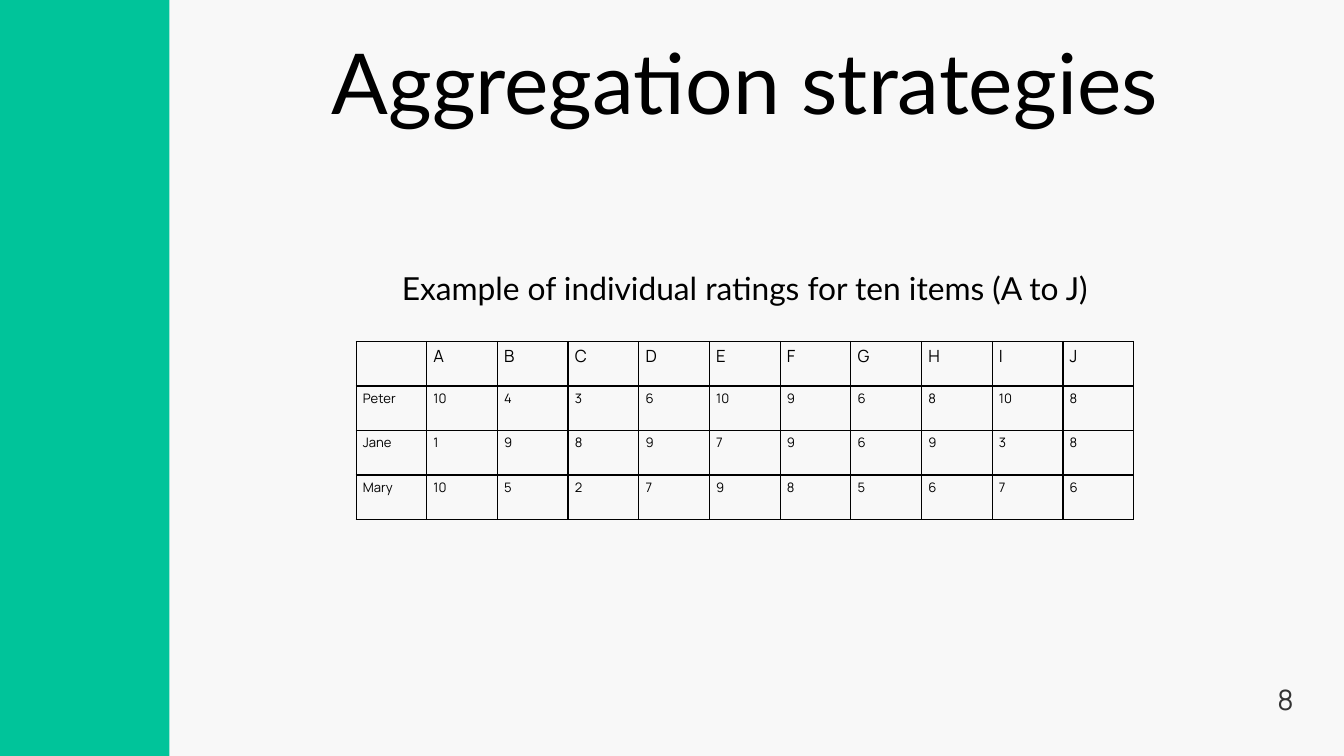
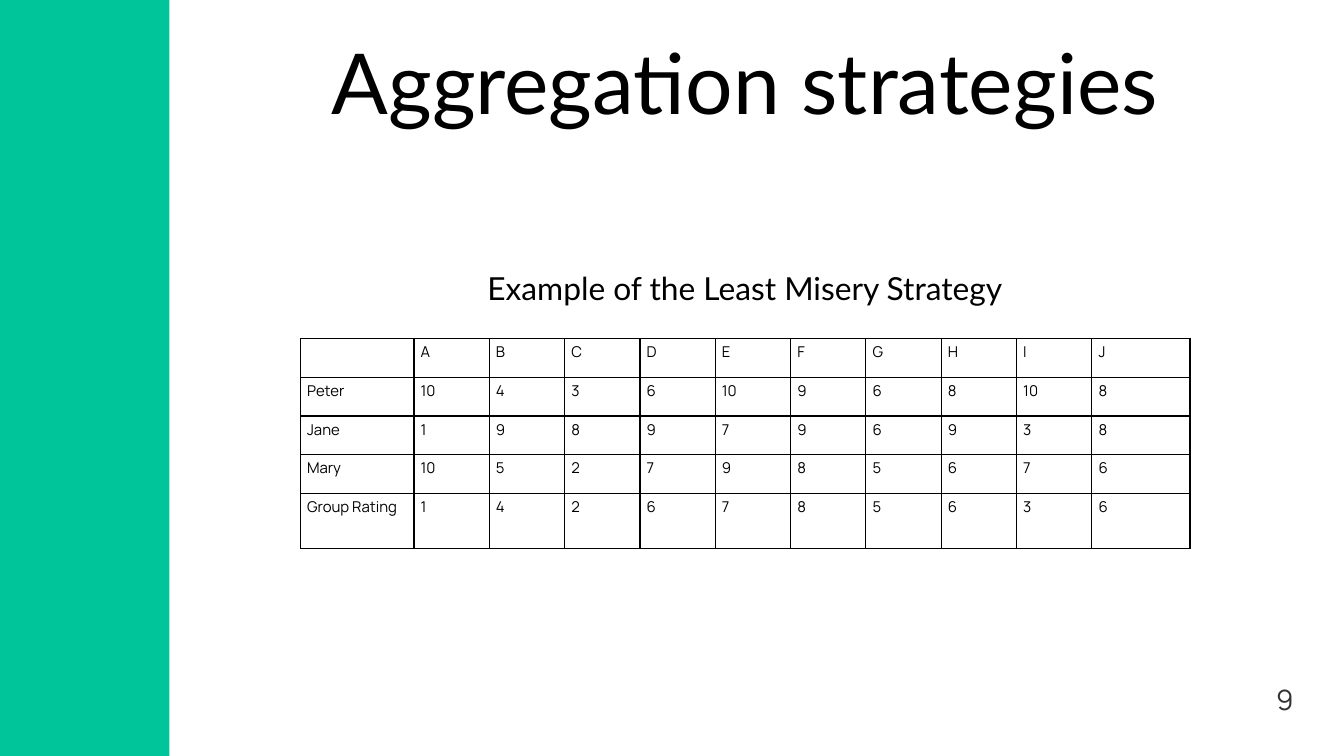
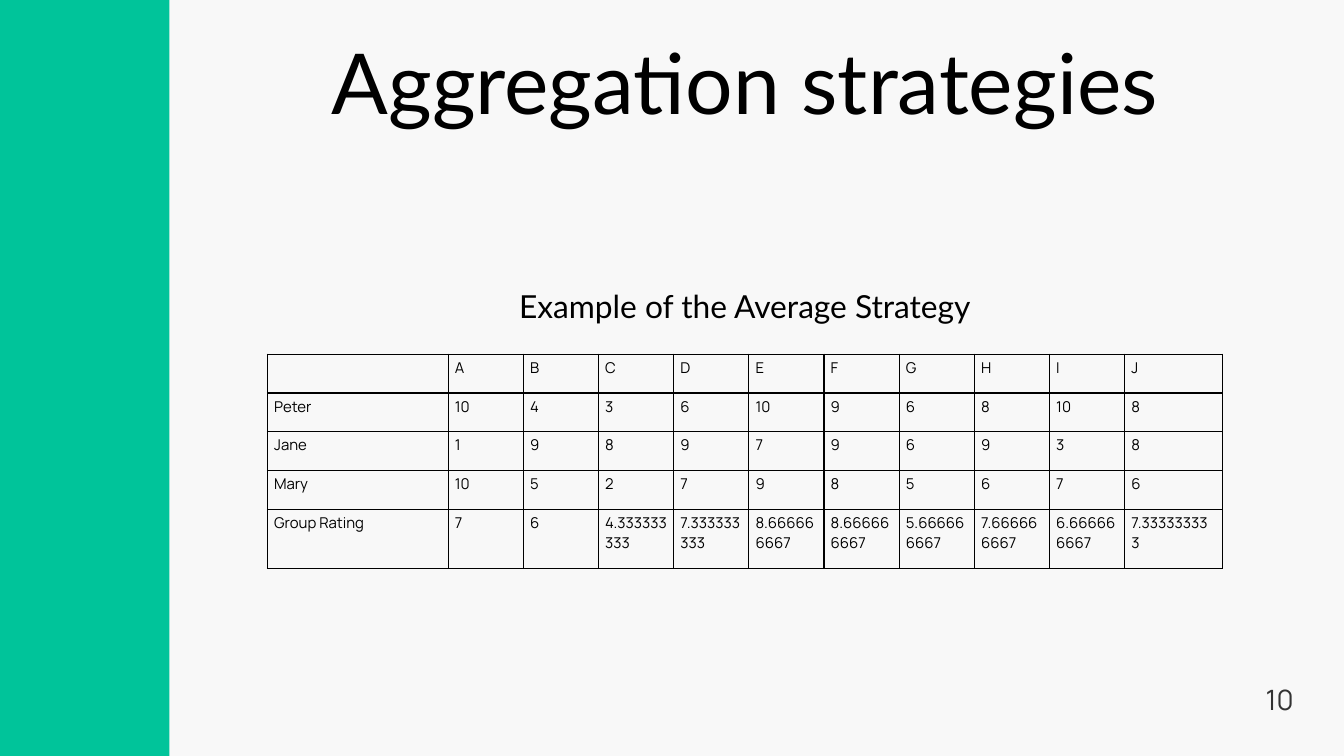
from dataclasses import dataclass

import pptx
import pptx.dml.color
import pptx.enum.shapes
import pptx.enum.text
import pptx.oxml
import pptx.oxml.ns
import pptx.util

Inches = pptx.util.Inches
Pt = pptx.util.Pt
Align = pptx.enum.text.PP_ALIGN


def rgb(code):
    return pptx.dml.color.RGBColor.from_string(code)


@dataclass(frozen=True)
class Theme:
    band: str = "00C49A"
    ink: str = "000000"
    number_ink: str = "333333"
    light: str = "F8F8F8"
    white: str = "FFFFFF"
    heading_font: str = "Lato"
    plain_font: str = "Manrope"
    title_size: int = 90
    caption_size: int = 34
    number_size: int = 30
    border: float = 1.5


THEME = Theme()

TEXT_FORMATS = {
    "title": dict(font=THEME.heading_font, size=THEME.title_size, color=THEME.ink,
                  align=Align.CENTER, line=126),
    "caption": dict(font=THEME.heading_font, size=THEME.caption_size, color=THEME.ink,
                    align=Align.CENTER, line=47.6),
    "number": dict(font=THEME.plain_font, size=THEME.number_size, color=THEME.number_ink,
                   align=Align.RIGHT, line=48),
}

TITLE = "Aggregation strategies"
ITEMS = "ABCDEFGHIJ"
RATINGS = {
    "Peter": [10, 4, 3, 6, 10, 9, 6, 8, 10, 8],
    "Jane": [1, 9, 8, 9, 7, 9, 6, 9, 3, 8],
    "Mary": [10, 5, 2, 7, 9, 8, 5, 6, 7, 6],
}


def average(scores):
    return sum(scores) / len(scores)


SLIDES = [
    dict(number=8, background=THEME.light, caption_top=3.9,
         caption="Example of individual ratings for ten items (A to J)", strategy=None,
         table=dict(area=(5.3, 5.08, 11.57, 2.65), first_width=1.05, last_width=1.05,
                    last_height=0.66, header_size=18, body_size=14)),
    dict(number=9, background=THEME.white, caption_top=3.9,
         caption="Example of the Least Misery Strategy", strategy=min,
         table=dict(area=(4.47, 5.04, 13.24, 3.12), first_width=1.69, last_width=1.46,
                    last_height=0.82, header_size=16, body_size=16)),
    dict(number=10, background=THEME.light, caption_top=4.18,
         caption="Example of the Average Strategy", strategy=average,
         table=dict(area=(3.98, 5.27, 14.21, 3.19), first_width=2.69, last_width=1.45,
                    last_height=0.88, header_size=16, body_size=16)),
]


def style_font(font, name, size, color):
    for attribute, value in dict(name=name, size=Pt(size)).items():
        setattr(font, attribute, value)
    font.color.rgb = rgb(color)


def write_line(box, text, style):
    """Put one formatted line in a box without insets."""
    frame = box.text_frame
    frame_format = dict(
        margin_left=0, margin_top=0, margin_right=0, margin_bottom=0, word_wrap=True,
        vertical_anchor=pptx.enum.text.MSO_ANCHOR.TOP,
        auto_size=pptx.enum.text.MSO_AUTO_SIZE.SHAPE_TO_FIT_TEXT,
    )
    for attribute, value in frame_format.items():
        setattr(frame, attribute, value)
    look = TEXT_FORMATS[style]
    para = frame.paragraphs[0]
    para.alignment = look["align"]
    para.line_spacing = Pt(look["line"])
    span = para.add_run()
    span.text = text
    style_font(span.font, look["font"], look["size"], look["color"])


def add_line(page, text, style, left, top, width, height):
    box = page.shapes.add_textbox(*map(Inches, (left, top, width, height)))
    write_line(box, text, style)


def add_title(page, text):
    title = page.shapes.title
    place = dict(left=3.5, top=0.2, width=15.17, height=1.68)
    for attribute, value in place.items():
        setattr(title, attribute, Inches(value))
    write_line(title, text, "title")


def add_side_band(page, height):
    band = page.shapes.add_shape(
        pptx.enum.shapes.MSO_SHAPE.RECTANGLE, 0, 0, Inches(2.52), height)
    band.shadow.inherit = False
    band.fill.solid()
    band.fill.fore_color.rgb = rgb(THEME.band)
    band.line.fill.background()


def set_borders(cell):
    properties = cell._tc.get_or_add_tcPr()
    for position, side in enumerate(("lnL", "lnR", "lnT", "lnB")):
        properties.insert(position, pptx.oxml.parse_xml(
            f'<a:{side} {pptx.oxml.ns.nsdecls("a")} w="{Pt(THEME.border)}">'
            f'<a:solidFill><a:srgbClr val="{THEME.ink}"/></a:solidFill></a:{side}>'))


def rating_rows(strategy):
    """Header and ratings, with a group row when a strategy is given."""
    rows = [["", *ITEMS]]
    rows += [[name, *map(str, scores)] for name, scores in RATINGS.items()]
    if strategy:
        group = [strategy(scores) for scores in zip(*RATINGS.values())]
        rows.append(["Group Rating", *(f"{score:.10g}" for score in group)])
    return rows


def add_rating_table(page, rows, area, first_width, last_width, last_height,
                     header_size, body_size):
    width, height = area[2:]
    inner = len(rows[0]) - 2
    widths = [first_width, *[(width - first_width - last_width) / inner] * inner, last_width]
    upper = len(rows) - 1
    heights = [*[(height - last_height) / upper] * upper, last_height]

    table = page.shapes.add_table(len(rows), len(rows[0]), *map(Inches, area)).table
    table.first_row = table.horz_banding = False
    for column, column_width in zip(table.columns, widths):
        column.width = Inches(column_width)
    for index, values in enumerate(rows):
        table.rows[index].height = Inches(heights[index])
        size = body_size if index else header_size
        for cell, value in zip(table.rows[index].cells, values):
            cell.fill.background()
            set_borders(cell)
            if value:
                span = cell.text_frame.paragraphs[0].add_run()
                span.text = value
                style_font(span.font, THEME.plain_font, size, THEME.ink)


def add_page(deck, content):
    page = deck.slides.add_slide(deck.slide_layouts.get_by_name("Title Only"))
    page.background.fill.solid()
    page.background.fill.fore_color.rgb = rgb(content["background"])
    add_side_band(page, deck.slide_height)
    add_rating_table(page, rating_rows(content["strategy"]), **content["table"])
    add_title(page, TITLE)
    add_line(page, content["caption"], "caption", 3.5, content["caption_top"], 15.17, 0.63)
    add_line(page, str(content["number"]), "number", 18.5, 9.99, 0.75, 0.64)


def main():
    deck = pptx.Presentation()
    deck.slide_width = Inches(20)
    deck.slide_height = Inches(11.25)
    for content in SLIDES:
        add_page(deck, content)
    deck.save("out.pptx")


if __name__ == "__main__":
    main()
